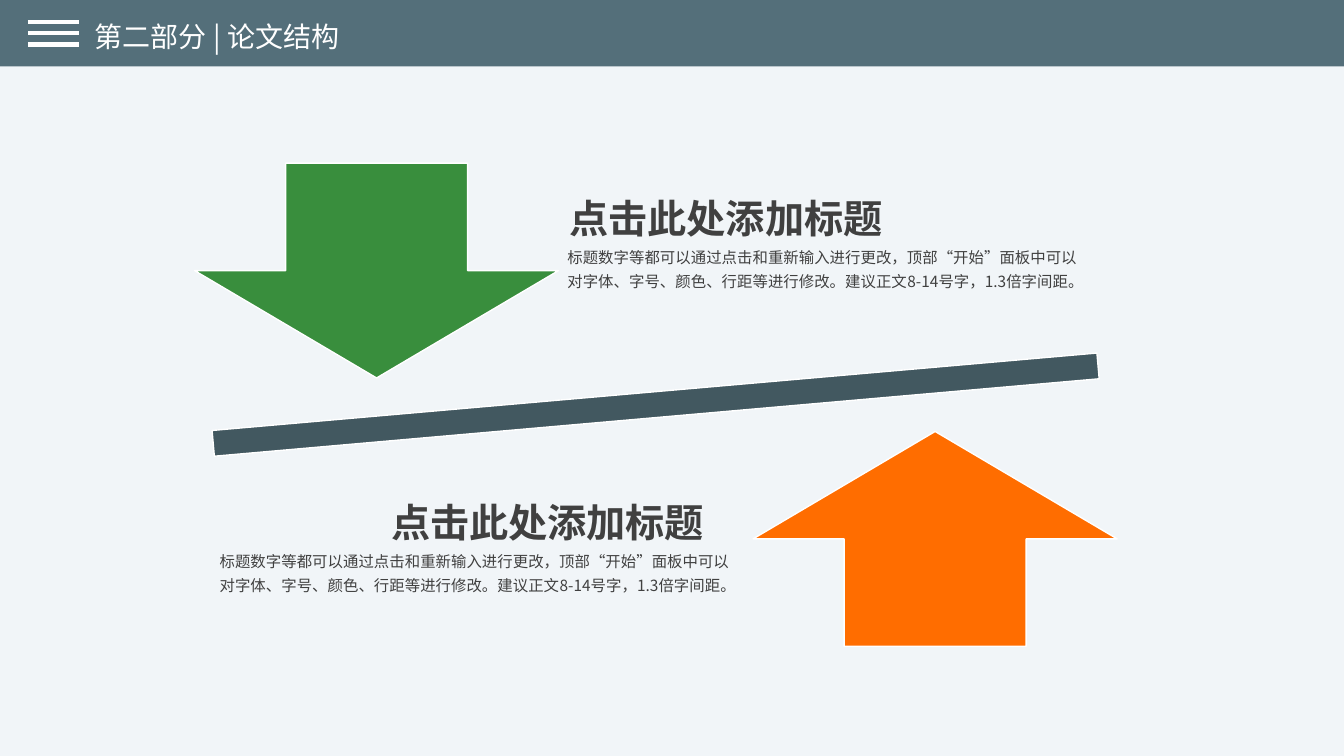
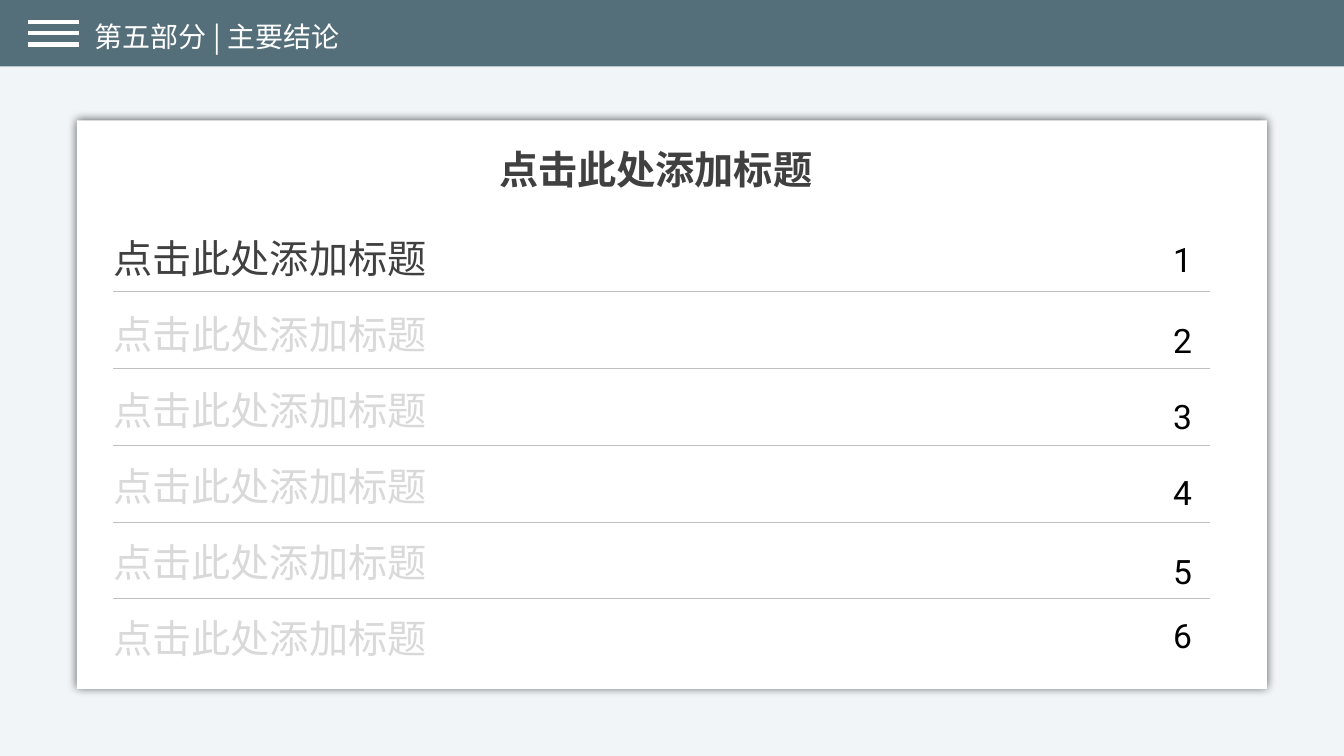
from dataclasses import dataclass

from lxml import etree
from pptx import Presentation
from pptx import util as u
from pptx.dml.color import RGBColor
from pptx.enum import lang, shapes, text
from pptx.oxml import ns

Pt = u.Pt


@dataclass(frozen=True)
class Theme:
    paper: str = "F1F5F8"
    band: str = "546F7A"
    white: str = "FFFFFF"
    beam: str = "425860"
    green: str = "398E3D"
    orange: str = "FF6D00"
    ink: str = "404040"
    black: str = "000000"
    faded: str = "D9D9D9"
    rule: str = "BFBFBF"
    heading_font: str = "Roboto"
    body_font: str = "Noto Sans CJK SC"
    title_size: int = 20
    heading_size: int = 28
    number_size: int = 24
    body_size: int = 11


theme = Theme()
HEADING = "点击此处添加标题"
DESCRIPTION = (
    "标题数字等都可以通过点击和重新输入进行更改，顶部“开始”面板中可以"
    "对字体、字号、颜色、行距等进行修改。建议正文8-14号字，1.3倍字间距。"
)


def write(box, words, font, size, color, leading, place, bold=False, align=None, inset=7.2):
    """Place a text shape and format each of its paragraphs."""
    box.left, box.top, box.width, box.height = map(Pt, place)
    frame = box.text_frame
    frame.text = words
    frame.word_wrap = True
    frame.auto_size = text.MSO_AUTO_SIZE.NONE
    frame.vertical_anchor = text.MSO_ANCHOR.TOP
    frame.margin_left = frame.margin_right = Pt(inset)
    frame.margin_top = frame.margin_bottom = 0
    for para in frame.paragraphs:
        para.alignment = align or text.PP_ALIGN.LEFT
        para.line_spacing = Pt(leading)
        para.space_before = Pt(0)
        for span in para.runs:
            span.font.size = Pt(size)
            span.font.bold = bold
            span.font.name = font
            span.font.language_id = lang.MSO_LANGUAGE_ID.SIMPLIFIED_CHINESE
            span.font.color.rgb = RGBColor.from_string(color)
            east_asian = etree.Element(ns.qn("a:ea"), typeface=theme.body_font)
            span.font._element.find(ns.qn("a:latin")).addnext(east_asian)
    return frame


def draw(page, kind, place, color, line=None):
    """Add a shape, or a connector when kind is None (place is then its two ends)."""
    if kind is None:
        item = page.shapes.add_connector(shapes.MSO_CONNECTOR.STRAIGHT, *map(Pt, place))
        etree.SubElement(item.element.spPr, ns.qn("a:effectLst"))
        item.line.color.rgb = RGBColor.from_string(color)
        item.line.width = Pt(line)
        return item
    item = page.shapes.add_shape(kind, *map(Pt, place))
    item.fill.solid()
    item.fill.fore_color.rgb = RGBColor.from_string(color)
    if line:
        item.line.color.rgb = RGBColor.from_string(theme.white)
        item.line.width = Pt(line)
    else:
        item.line.fill.background()
    item.shadow.inherit = False
    return item


deck = Presentation()
deck.slide_width, deck.slide_height = Pt(960), Pt(540)
structure = deck.slides.add_slide(deck.slide_layouts[5])
conclusions = deck.slides.add_slide(deck.slide_layouts[1])

# Master: background, band and menu icon
master = deck.slide_master
master.background.fill.solid()
master.background.fill.fore_color.rgb = RGBColor.from_string(theme.paper)
shared = [draw(structure, shapes.MSO_SHAPE.RECTANGLE, (0, 0, 960, 47.4), theme.band)]
for bar in range(3):
    y = 15.8 + 8 * bar
    shared.append(draw(structure, None, (20, y, 56.4, y), theme.white, 3))
for index, item in enumerate(shared):
    item.element.xpath("*/p:cNvPr")[0].set("id", str(50 + index))
    master.shapes.element.insert(2 + index, item.element)

# Titles
for page, words in ((structure, "第二部分 | 论文结构"), (conclusions, "第五部分 | 主要结论")):
    write(page.shapes.title, words, theme.body_font, theme.title_size, theme.white,
          32, (60.5, 6, 269, 32))

# Structure: balance beam and two arrows
beam = draw(structure, shapes.MSO_SHAPE.MATH_MINUS, (36.7, 249.8, 863.3, 78.5), theme.beam, 1)
beam.rotation = 355
draw(structure, shapes.MSO_SHAPE.DOWN_ARROW, (139, 116.6, 260, 153.4), theme.green, 1)
draw(structure, shapes.MSO_SHAPE.UP_ARROW, (538, 308.2, 260, 153.4), theme.orange, 1)

# Structure: heading and description beside each arrow
for heading_x, description_x, y in ((399.6, 398.2, 132.5), (272.2, 149.8, 349.5)):
    write(structure.shapes.add_textbox(0, 0, 0, 0), HEADING, theme.heading_font,
          theme.heading_size, theme.ink, 40, (heading_x, y, 265.7, 41), bold=True)
    write(structure.shapes.add_textbox(0, 0, 0, 0), DESCRIPTION, theme.body_font,
          theme.body_size, theme.ink, 17.1, (description_x, y + 40.8, 388, 36))

# Conclusions: card with a soft shadow, placed behind the list
card = draw(conclusions, shapes.MSO_SHAPE.RECTANGLE, (54.9, 86, 850.1, 406), theme.white)
effects = card.element.spPr.find(ns.qn("a:effectLst"))
glow = etree.SubElement(effects, ns.qn("a:outerShdw"), blurRad=str(Pt(7)), dist="0", dir="0")
tint = etree.SubElement(glow, ns.qn("a:srgbClr"), val=theme.black)
etree.SubElement(tint, ns.qn("a:alpha"), val="64000")
conclusions.shapes.element.insert(2, card.element)

write(conclusions.shapes.add_textbox(0, 0, 0, 0), HEADING, theme.heading_font,
      theme.heading_size, theme.ink, 40, (335.5, 97.2, 265.7, 41),
      bold=True, align=text.PP_ALIGN.CENTER)

# Conclusions: list, first entry highlighted
ROWS = 6
entries = write(conclusions.placeholders[1], "\n".join([HEADING] * ROWS), theme.heading_font,
                theme.heading_size, theme.faded, 54.3, (81, 146.4, 400, 54.3 * ROWS), inset=0)
entries.paragraphs[0].runs[0].font.color.rgb = RGBColor.from_string(theme.ink)
for para in entries.paragraphs:
    settings = para._p.get_or_add_pPr()
    settings.set("marL", "0")
    settings.set("indent", "0")
    etree.SubElement(settings, ns.qn("a:buNone"))

# Conclusions: row rules and numbers
for row in range(ROWS - 1):
    y = 208.1 + 54.9 * row
    draw(conclusions, None, (80.8, y, 864, y), theme.rule, 0.5)
for number, y in enumerate((167.4, 225.3, 279.5, 333.8, 390.3, 436), start=1):
    write(conclusions.shapes.add_textbox(0, 0, 0, 0), str(number), theme.heading_font,
          theme.number_size, theme.black, 32, (830.9, y, 36, 32))

deck.save("out.pptx")
